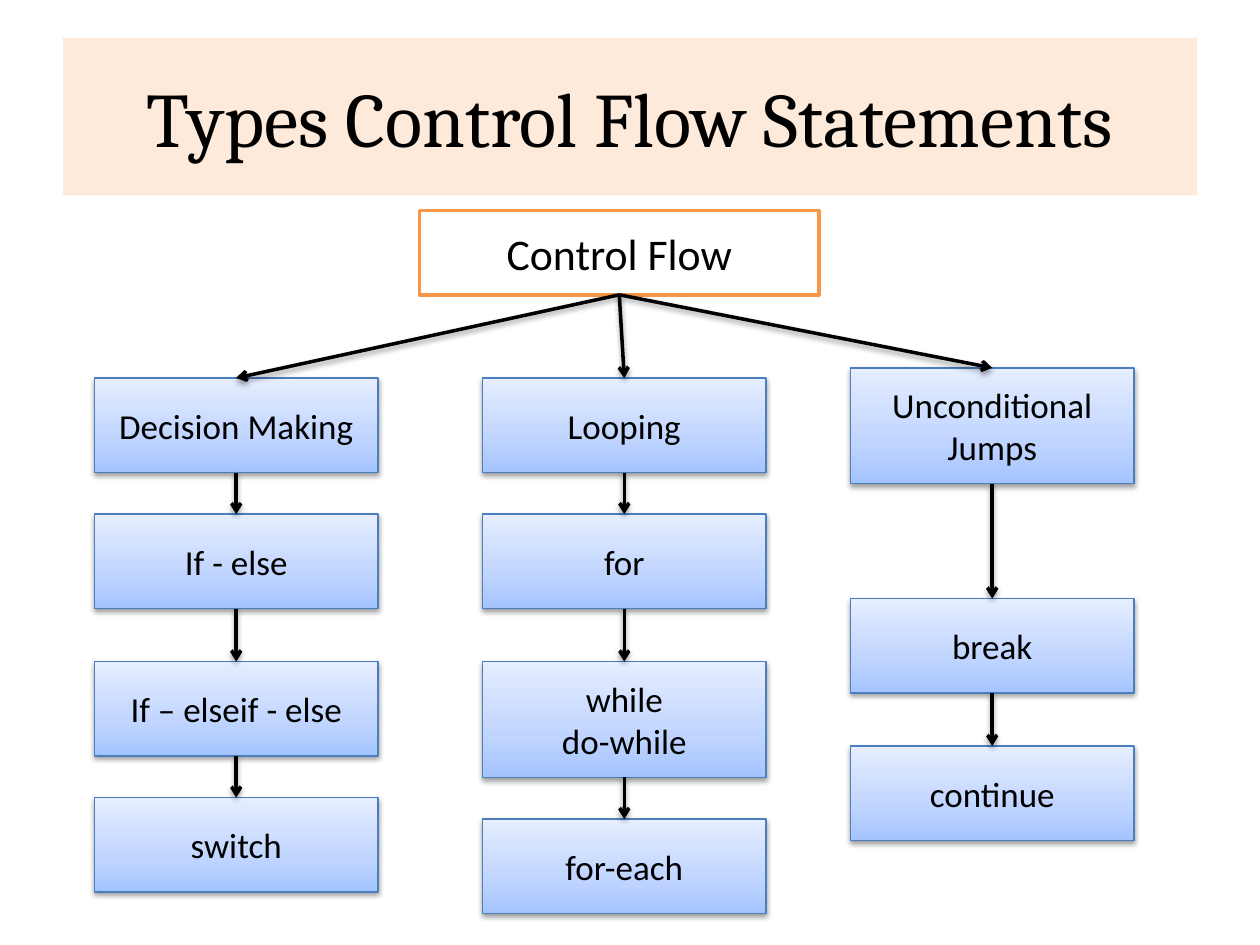
from lxml.etree import SubElement
from pptx import Presentation
from pptx.dml.color import RGBColor
from pptx.enum.shapes import MSO_CONNECTOR, MSO_SHAPE
from pptx.enum.text import MSO_ANCHOR, PP_ALIGN
from pptx.oxml import parse_xml
from pptx.oxml.ns import nsdecls, qn
from pptx.util import Inches, Pt

BLACK = RGBColor(0x00, 0x00, 0x00)
WHITE = RGBColor(0xFF, 0xFF, 0xFF)
PEACH = RGBColor(0xFD, 0xEA, 0xDA)
ORANGE = RGBColor(0xF7, 0x96, 0x46)
BLUE_LINE = RGBColor(0x4B, 0x7E, 0xBC)
BLUE_STOPS = [
    (0, RGBColor(0xA4, 0xC4, 0xFF)),
    (35, RGBColor(0xBF, 0xD4, 0xFF)),
    (100, RGBColor(0xE6, 0xEE, 0xFF)),
]

BOX_WIDTH = 2.25
BOX_HEIGHT = 0.75
TALL_HEIGHT = 0.92
TOP, BOTTOM = 0, 2

# Each column: left edge, then its boxes as (text, top, height)
COLUMNS = [
    (0.75, [
        ("Decision Making", 3, BOX_HEIGHT),
        ("If - else", 4.08, BOX_HEIGHT),
        ("If – elseif - else", 5.25, BOX_HEIGHT),
        ("switch", 6.33, BOX_HEIGHT),
    ]),
    (3.83, [
        ("Looping", 3, BOX_HEIGHT),
        ("for", 4.08, BOX_HEIGHT),
        ("while\ndo-while", 5.25, TALL_HEIGHT),
        ("for-each", 6.5, BOX_HEIGHT),
    ]),
    (6.75, [
        ("Unconditional Jumps", 2.92, TALL_HEIGHT),
        ("break", 4.75, BOX_HEIGHT),
        ("continue", 5.92, BOX_HEIGHT),
    ]),
]


def write_text(shape, text, size=20, font="Calibri", color=BLACK):
    frame = shape.text_frame
    frame.word_wrap = True
    frame.vertical_anchor = MSO_ANCHOR.MIDDLE
    frame.text = text
    for paragraph in frame.paragraphs:
        paragraph.alignment = PP_ALIGN.CENTER
        paragraph.font.size = Pt(size)
        paragraph.font.name = font
        paragraph.font.color.rgb = color


def add_box(slide, left, top, width, height, fill=None, line=None, line_width=0.75):
    shape = slide.shapes.add_shape(
        MSO_SHAPE.RECTANGLE, Inches(left), Inches(top), Inches(width), Inches(height))
    shape.shadow.inherit = False
    if fill is not None:
        shape.fill.solid()
        shape.fill.fore_color.rgb = fill
    if line is None:
        shape.line.fill.background()
    else:
        shape.line.color.rgb = line
        shape.line.width = Pt(line_width)
    return shape


def add_shadow(effects):
    effects.append(parse_xml(
        f'<a:outerShdw {nsdecls("a")} blurRad="40000" dist="20000" dir="5400000" '
        'rotWithShape="0"><a:srgbClr val="000000"><a:alpha val="38000"/></a:srgbClr>'
        '</a:outerShdw>'))


def add_blue_box(slide, text, left, top, height):
    shape = add_box(slide, left, top, BOX_WIDTH, height, line=BLUE_LINE)
    properties = shape._element.spPr
    stops = "".join(
        f'<a:gs pos="{position * 1000}"><a:srgbClr val="{color}"/></a:gs>'
        for position, color in BLUE_STOPS)
    gradient = parse_xml(
        f'<a:gradFill {nsdecls("a")} rotWithShape="1"><a:gsLst>{stops}</a:gsLst>'
        '<a:lin ang="16200000" scaled="0"/></a:gradFill>')
    properties.find(qn("a:prstGeom")).addnext(gradient)
    add_shadow(properties.find(qn("a:effectLst")))
    write_text(shape, text)
    return shape


def add_arrow(slide, upper, lower):
    connector = slide.shapes.add_connector(MSO_CONNECTOR.STRAIGHT, 0, 0, 0, 0)
    connector.begin_connect(upper, BOTTOM)
    connector.end_connect(lower, TOP)
    connector.line.color.rgb = BLACK
    connector.line.width = Pt(2)
    SubElement(connector.line._get_or_add_ln(), qn("a:tailEnd"), type="arrow")
    add_shadow(SubElement(connector._element.spPr, qn("a:effectLst")))


def main():
    presentation = Presentation()
    presentation.slide_width = Inches(10)
    presentation.slide_height = Inches(7.5)
    slide = presentation.slides.add_slide(presentation.slide_layouts[6])

    # Title band
    title = add_box(slide, 0.5, 0.3, 9, 1.25, fill=PEACH)
    write_text(title, "Types Control Flow Statements", size=44, font="Cambria")

    # Root of the tree
    root = add_box(slide, 3.33, 1.67, 3.17, 0.67, fill=WHITE, line=ORANGE, line_width=2)
    write_text(root, "Control Flow", size=25)

    # Columns, each box linked to the one above it
    for left, boxes in COLUMNS:
        upper = root
        for text, top, height in boxes:
            box = add_blue_box(slide, text, left, top, height)
            add_arrow(slide, upper, box)
            upper = box

    presentation.save("out.pptx")


if __name__ == "__main__":
    main()
